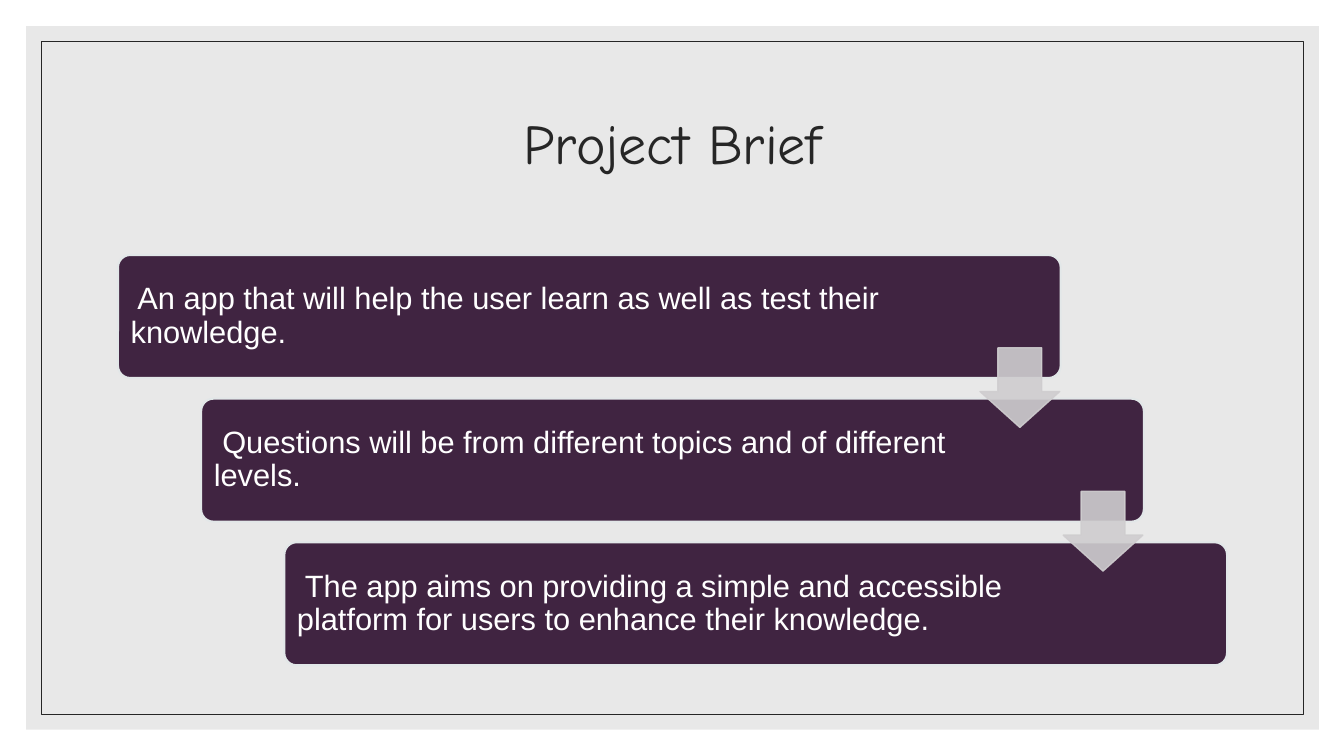
"""Build the Project Brief slide: three stepped boxes joined by arrows."""
import dataclasses

import lxml.etree
import pptx
import pptx.dml.color
import pptx.enum.shapes
import pptx.enum.text
import pptx.oxml.ns
import pptx.util

Inches = pptx.util.Inches
Pt = pptx.util.Pt
MSO_SHAPE = pptx.enum.shapes.MSO_SHAPE
PP_ALIGN = pptx.enum.text.PP_ALIGN


@dataclasses.dataclass(frozen=True)
class Theme:
    paper: str = "FFFFFF"
    panel: str = "D9D9D9"
    ink: str = "262626"
    box: str = "402441"
    box_line: str = "E2E7E8"
    arrow: str = "CFCDCF"
    title_font: str = "Comic Neue"
    body_font: str = "Arial"
    title_size: int = 40
    body_size: int = 22


THEME = Theme()
STEPS = [
    (" An app that will help the user learn as well as test their knowledge.", 1.34),
    (" Questions will be from different topics and of different levels.", 1.7),
    (" The app aims on providing a simple and accessible platform for users to enhance their knowledge.", 1.7),
]
STEP_LEFT, STEP_TOP, STEP_W, STEP_H = 1.17, 2.53, 9.35, 1.22
SHIFT_X, SHIFT_Y = 0.825, 1.425
ARROW_LEFT, ARROW_TOP, ARROW_SIZE = 9.72, 3.45, 0.79


def rgb(color):
    return pptx.dml.color.RGBColor.from_string(color)


def set_color(fmt, color, alpha=100):
    """Give a fill format a solid colour with an opacity in percent."""
    fmt.solid()
    fmt.fore_color.rgb = rgb(color)
    if alpha < 100:
        clr = fmt._xPr.find(".//" + pptx.oxml.ns.qn("a:srgbClr"))
        lxml.etree.SubElement(clr, pptx.oxml.ns.qn("a:alpha"), val=str(alpha * 1000))


def add_box(s, kind, box, fill=None, line=None, width=1, alpha=100, adjust=()):
    sp = s.shapes.add_shape(kind, *map(Inches, box))
    sp.shadow.inherit = False
    for i, value in enumerate(adjust):
        sp.adjustments[i] = value
    if fill:
        set_color(sp.fill, fill, alpha)
    else:
        sp.fill.background()
    if line:
        set_color(sp.line.fill, line, alpha)
        sp.line.width = Pt(width)
    else:
        sp.line.fill.background()
    return sp


def write_text(sp, text, align, font, margins):
    """Write one paragraph, centred vertically, into a shape."""
    tf = sp.text_frame
    frame = {"word_wrap": True, "vertical_anchor": pptx.enum.text.MSO_ANCHOR.MIDDLE}
    frame.update({"margin_" + side: Inches(gap) for side, gap in margins.items()})
    for name, value in frame.items():
        setattr(tf, name, value)
    p = tf.paragraphs[0]
    p.alignment = align
    p.line_spacing = 0.9
    r = p.add_run()
    r.text = text
    color = font.pop("color")
    for name, value in font.items():
        setattr(r.font, name, value)
    r.font.color.rgb = rgb(color)


def add_title(s, text):
    sp = s.shapes.add_textbox(*map(Inches, (1.17, 0.7, 11, 1.5)))
    font = {"name": THEME.title_font, "size": Pt(THEME.title_size), "color": THEME.ink}
    write_text(sp, text, PP_ALIGN.CENTER, font, {"left": 0.1, "right": 0.1})


def add_step(s, i, text, right):
    box = (STEP_LEFT + i * SHIFT_X, STEP_TOP + i * SHIFT_Y, STEP_W, STEP_H)
    sp = add_box(s, MSO_SHAPE.ROUNDED_RECTANGLE, box, THEME.box, THEME.box_line, 1.5, adjust=(0.1,))
    font = {"name": THEME.body_font, "size": Pt(THEME.body_size), "color": THEME.paper}
    margins = {"left": 0.09, "right": right, "top": 0.09, "bottom": 0.09}
    write_text(sp, text, PP_ALIGN.LEFT, font, margins)


def add_arrow(s, i):
    box = (ARROW_LEFT + i * SHIFT_X, ARROW_TOP + i * SHIFT_Y, ARROW_SIZE, ARROW_SIZE)
    add_box(s, MSO_SHAPE.DOWN_ARROW, box, THEME.arrow, THEME.arrow, alpha=90, adjust=(0.55, 0.45))


def main():
    prs = pptx.Presentation()
    prs.slide_width, prs.slide_height = Inches(13.33), Inches(7.5)
    s = prs.slides.add_slide(prs.slide_layouts[6])
    set_color(s.background.fill, THEME.paper)
    add_box(s, MSO_SHAPE.RECTANGLE, (0.26, 0.26, 12.82, 6.98), THEME.panel, alpha=60)
    add_box(s, MSO_SHAPE.RECTANGLE, (0.41, 0.41, 12.52, 6.68), line=THEME.ink, width=0.5)
    add_title(s, "Project Brief")
    for i, (text, right) in enumerate(STEPS):
        add_step(s, i, text, right)
    for i in range(len(STEPS) - 1):
        add_arrow(s, i)
    prs.save("out.pptx")


if __name__ == "__main__":
    main()
